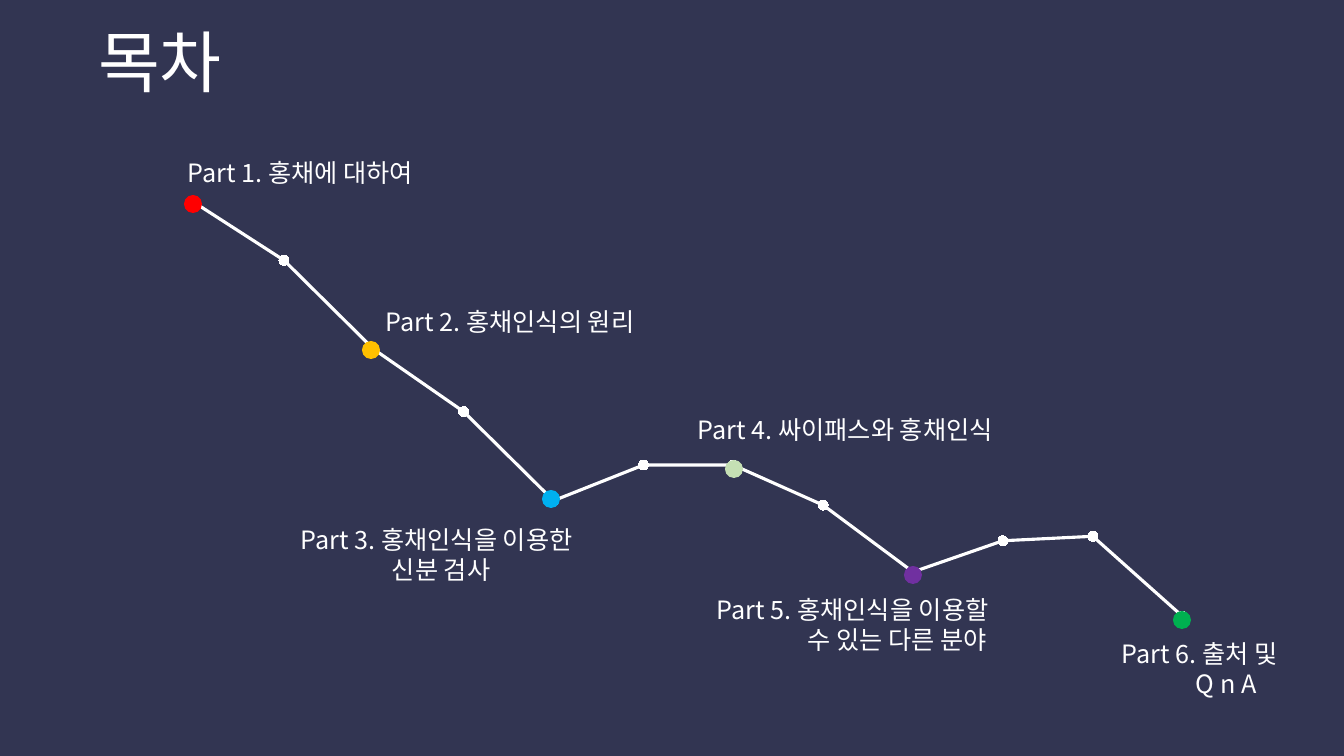
from lxml import etree
from pptx import Presentation
from pptx.chart.data import CategoryChartData
from pptx.dml.color import RGBColor
from pptx.enum.chart import XL_CHART_TYPE, XL_MARKER_STYLE
from pptx.enum.shapes import MSO_SHAPE
from pptx.enum.text import MSO_ANCHOR, MSO_AUTO_SIZE, PP_ALIGN
from pptx.oxml import parse_xml
from pptx.oxml.ns import nsdecls, qn
from pptx.util import Emu, Pt

LINE_MARKERS = XL_CHART_TYPE.LINE_MARKERS
CIRCLE = XL_MARKER_STYLE.CIRCLE
OVAL = MSO_SHAPE.OVAL
TOP = MSO_ANCHOR.TOP
NO_AUTOSIZE = MSO_AUTO_SIZE.NONE
LEFT = PP_ALIGN.LEFT

SCALE = 914400 / 100.8
FONT = "Noto Sans CJK KR"
BACKGROUND = "323552"
WHITE = "FFFFFF"
DOT_SIZE = 18

TREND = [100, 87, 67, 53, 33, 41, 41, 32, 17, 24, 25, 7]
TREND_BOX = (138, 166, 1112, 518)
PLOT_AREA = {"x": 0.01, "y": 0.01, "w": 0.97, "h": 0.92}

PARTS = [
    (["Part 1. 홍채에 대하여"], (178, 152, 330, 40), 0, (184, 195), "FF0000"),
    (["Part 2. 홍채인식의 원리"], (376, 301, 330, 40), 0, (362, 341), "FFC000"),
    (["Part 3. 홍채인식을 이용한", "신분 검사"], (291, 519, 385, 72), 91, (542, 490), "00B0F0"),
    (["Part 4. 싸이패스와 홍채인식"], (688, 409, 357, 40), 0, (725, 460), "C5E0B4"),
    (["Part 5. 홍채인식을 이용할", "수 있는 다른 분야"], (707, 589, 389, 72), 91, (904, 566), "7030A0"),
    (["Part 6. 출처 및", "Q n A"], (1112, 633, 206, 72), 74, (1173, 611), "00B050"),
]


def px(length):
    return Emu(round(length * SCALE))


def color(value):
    return RGBColor.from_string(value)


def place(box):
    return [px(length) for length in box]


def format_para(para, size):
    para.alignment = LEFT
    for span in para.runs:
        span.font.size = Pt(size)
        span.font.name = FONT
        span.font.color.rgb = color(WHITE)
        east_asian = etree.SubElement(span.font._element, qn("a:ea"))
        east_asian.set("typeface", FONT)


def add_title(page, text, box):
    title = page.shapes.title
    title.left, title.top, title.width, title.height = place(box)
    frame = title.text_frame
    frame.text = text
    frame.auto_size = NO_AUTOSIZE
    frame.vertical_anchor = TOP
    format_para(frame.paragraphs[0], 48)


def add_trend(page, box):
    data = CategoryChartData()
    data.categories = [str(number) for number in range(1, len(TREND) + 1)]
    data.add_series("Series 1", TREND)
    chart = page.shapes.add_chart(LINE_MARKERS, *place(box), data).chart
    chart.has_legend = False
    chart.has_title = False
    chart.font.name = FONT
    chart.font.size = Pt(10)
    chart.font.color.rgb = color("D9D9D9")
    for axis in (chart.category_axis, chart.value_axis):
        axis.has_major_gridlines = False
        axis.visible = False
    chart.value_axis.minimum_scale = 0
    chart.value_axis.maximum_scale = 107
    plot = chart.plots[0]
    plot.vary_by_categories = False
    series = plot.series[0]
    series.smooth = False
    series.format.line.color.rgb = color(WHITE)
    series.format.line.width = Pt(2.25)
    marker = series.marker
    marker.style = CIRCLE
    marker.size = 7
    marker.format.fill.solid()
    marker.format.fill.fore_color.rgb = color("F2F2F2")
    marker.format.line.color.rgb = color(WHITE)
    set_plot_area(chart)


def set_plot_area(chart):
    area = chart._chartSpace.chart.plotArea
    for layout in area.findall(qn("c:layout")):
        area.remove(layout)
    sizes = "".join(f'<c:{key} val="{value}"/>' for key, value in PLOT_AREA.items())
    area.insert(0, parse_xml(
        f'<c:layout {nsdecls("c")}><c:manualLayout><c:layoutTarget val="inner"/>'
        f'<c:xMode val="edge"/><c:yMode val="edge"/>{sizes}</c:manualLayout></c:layout>'))


def add_label(page, lines, box, indent):
    frame = page.shapes.add_textbox(*place(box)).text_frame
    frame.word_wrap = True
    frame.text = "\n".join(lines)
    for number, para in enumerate(frame.paragraphs):
        if number:
            para._p.get_or_add_pPr().set("marL", str(px(indent)))
        format_para(para, 18)


def add_dot(page, corner, fill):
    dot = page.shapes.add_shape(OVAL, *place((*corner, DOT_SIZE, DOT_SIZE)))
    dot.shadow.inherit = False
    dot.fill.solid()
    dot.fill.fore_color.rgb = color(fill)
    dot.line.fill.background()


def add_contents_page(deck):
    page = deck.slides.add_slide(deck.slide_layouts[5])
    page.background.fill.solid()
    page.background.fill.fore_color.rgb = color(BACKGROUND)
    add_title(page, "목차", (88, 15, 267, 92))
    add_trend(page, TREND_BOX)
    for lines, box, indent, corner, fill in PARTS:
        add_label(page, lines, box, indent)
        add_dot(page, corner, fill)


def main():
    deck = Presentation()
    deck.slide_width, deck.slide_height = px(1344), px(756)
    add_contents_page(deck)
    deck.save("out.pptx")


if __name__ == "__main__":
    main()
